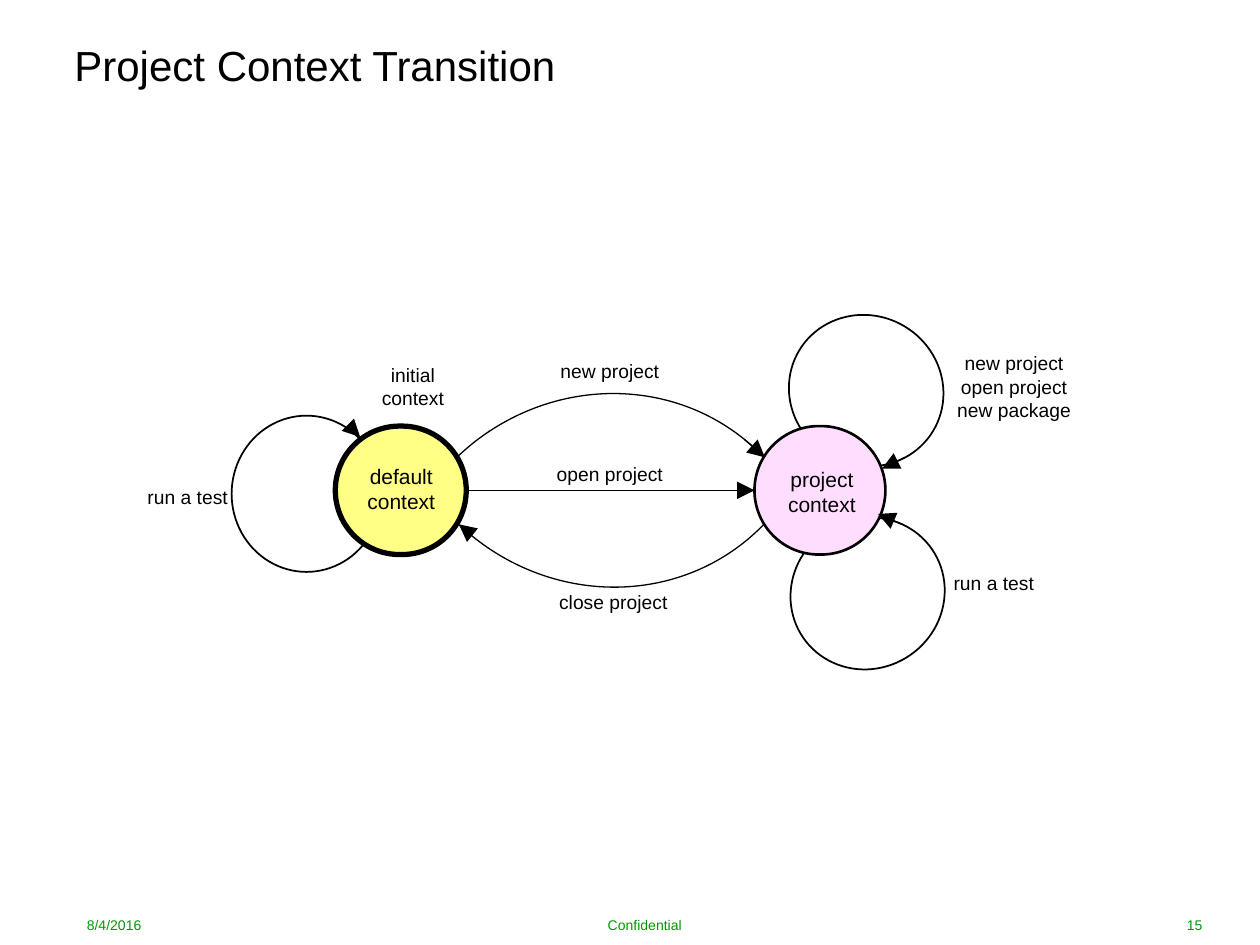
from lxml import etree
from pptx import Presentation
from pptx.dml.color import RGBColor
from pptx.enum.shapes import MSO_CONNECTOR, MSO_SHAPE
from pptx.enum.text import MSO_ANCHOR, MSO_AUTO_SIZE, PP_ALIGN
from pptx.oxml.ns import qn
from pptx.util import Cm, Pt

BLACK = RGBColor(0x00, 0x00, 0x00)
GREEN = RGBColor(0x00, 0x98, 0x00)
YELLOW = RGBColor(0xFF, 0xFE, 0x85)
PINK = RGBColor(0xFF, 0xDD, 0xFF)

ARC, OVAL, ROUND = MSO_SHAPE.ARC, MSO_SHAPE.OVAL, MSO_SHAPE.ROUNDED_RECTANGLE
STRAIGHT = MSO_CONNECTOR.STRAIGHT
TOP, MIDDLE = MSO_ANCHOR.TOP, MSO_ANCHOR.MIDDLE
LEFT, CENTER, RIGHT = PP_ALIGN.LEFT, PP_ALIGN.CENTER, PP_ALIGN.RIGHT
NO_FIT = MSO_AUTO_SIZE.NONE

FOOTER_TOP, FOOTER_H = 18.39, 0.51
CIRCLE_TOP, CIRCLE_W, CIRCLE_H = 8.59, 2.64, 2.59
LOOP_W, LOOP_H = 3.02, 3.15
ARC_W, ARC_H = 8.92, 8.51
LABEL_W, LABEL_H = 2.13, 0.94
NAME_W, NAME_H = 1.7, 1.24

FOOTERS = [
    ("8/4/2016", 1.5, 3.99, LEFT),
    ("Confidential", 6.5, 13, CENTER),
    ("15", 20.5, 3.99, RIGHT),
]
ARCS = [(7.7, 8.03, 316.6, False), (7.72, 3.23, 43.4, True)]
LOOPS = [(15.95, 6.3, 121), (15.98, 10.39, 55.5), (4.67, 8.38, 0)]
NAMES = [("default\ncontext", 7.24, 9.35), ("project\ncontext", 15.72, 9.4)]
LABELS = [
    ("run a test", 2.72, 9.55),
    ("run a test", 18.97, 11.28),
    ("open project", 11.23, 9.09),
    ("new project", 11.23, 7.01),
    ("new project\nopen project\nnew package", 19.38, 7.32),
    ("close project", 11.3, 11.66),
    ("initial\ncontext", 7.26, 7.32),
]
ARROWS = [
    (18.24, 9.22, 17.78, 9.45),
    (18.19, 10.57, 17.7, 10.36),
    (15.01, 8.86, 15.42, 9.22),
    (9.5, 10.77, 9.25, 10.57),
    (7.04, 8.59, 7.26, 8.81),
]


def set_attrs(obj, values):
    for name, value in values.items():
        setattr(obj, name, value)


def write(tf, text, size, color, align, anchor, wrap=True, inset=0):
    frame = {"word_wrap": wrap, "auto_size": NO_FIT, "vertical_anchor": anchor}
    for side in ("left", "top", "right", "bottom"):
        frame["margin_" + side] = Cm(inset)
    set_attrs(tf, frame)
    for i, line in enumerate(text.split("\n")):
        p = tf.add_paragraph() if i else tf.paragraphs[0]
        p.alignment = align
        r = p.add_run()
        r.text = line
        set_attrs(r.font, {"name": "Arial", "size": Pt(size), "bold": False})
        r.font.color.rgb = color


def add_title(slide, text):
    sp = slide.shapes.title
    set_attrs(sp, {"left": Cm(1.5), "top": Cm(0.51), "width": Cm(18.01), "height": Cm(1.6)})
    write(sp.text_frame, text, 24, BLACK, LEFT, MIDDLE)


def add_text(slide, text, x, y, w, h, size, **fmt):
    sp = slide.shapes.add_textbox(Cm(x), Cm(y), Cm(w), Cm(h))
    style = {"color": BLACK, "align": CENTER, "anchor": MIDDLE, "wrap": False}
    write(sp.text_frame, text, size, **{**style, **fmt})


def add_outline(slide, kind, x, y, w, h, weight, rotation=0, fill=None, flip=False):
    sp = slide.shapes.add_shape(kind, Cm(x), Cm(y), Cm(w), Cm(h))
    sp.shadow.inherit = False
    sp.rotation = rotation
    if flip:
        sp._element.spPr.find(qn("a:xfrm")).set("flipV", "1")
    if fill is None:
        sp.fill.background()
    else:
        sp.fill.solid()
        sp.fill.fore_color.rgb = fill
    sp.line.color.rgb = BLACK
    sp.line.width = Pt(weight)
    return sp


def add_state(slide, x, fill, weight):
    sp = add_outline(slide, ROUND, x, CIRCLE_TOP, CIRCLE_W, CIRCLE_H, weight, fill=fill)
    sp.adjustments[0] = 0.5
    return sp


def add_arrow(slide, x1=0, y1=0, x2=0, y2=0):
    cn = slide.shapes.add_connector(STRAIGHT, Cm(x1), Cm(y1), Cm(x2), Cm(y2))
    cn.line.color.rgb = BLACK
    cn.line.width = Pt(0.75)
    tail = etree.SubElement(cn.line._get_or_add_ln(), qn("a:tailEnd"))
    for name, value in {"type": "triangle", "w": "lg", "len": "lg"}.items():
        tail.set(name, value)
    etree.SubElement(cn._element.spPr, qn("a:effectLst"))
    return cn


def main():
    prs = Presentation()
    set_attrs(prs, {"slide_width": Cm(25.4), "slide_height": Cm(19.05)})
    slide = prs.slides.add_slide(prs.slide_layouts[5])
    add_title(slide, "Project Context Transition")
    for text, x, w, align in FOOTERS:
        add_text(slide, text, x, FOOTER_TOP, w, FOOTER_H, 8,
                 color=GREEN, align=align, wrap=True, inset=0.25)

    for x, y, rotation, flip in ARCS:
        add_outline(slide, ARC, x, y, ARC_W, ARC_H, 0.75, rotation, flip=flip)
    for x, y, rotation in LOOPS:
        add_outline(slide, OVAL, x, y, LOOP_W, LOOP_H, 1, rotation)

    default = add_state(slide, 6.76, YELLOW, 3)
    project = add_state(slide, 15.21, PINK, 1.5)
    open_arrow = add_arrow(slide)
    open_arrow.begin_connect(default, 3)
    open_arrow.end_connect(project, 1)
    for ends in ARROWS:
        add_arrow(slide, *ends)

    for text, x, y in NAMES:
        add_text(slide, text, x, y, NAME_W, NAME_H, 12, anchor=TOP)
    for text, x, y in LABELS:
        add_text(slide, text, x, y, LABEL_W, LABEL_H, 11)
    prs.save("out.pptx")


if __name__ == "__main__":
    main()
